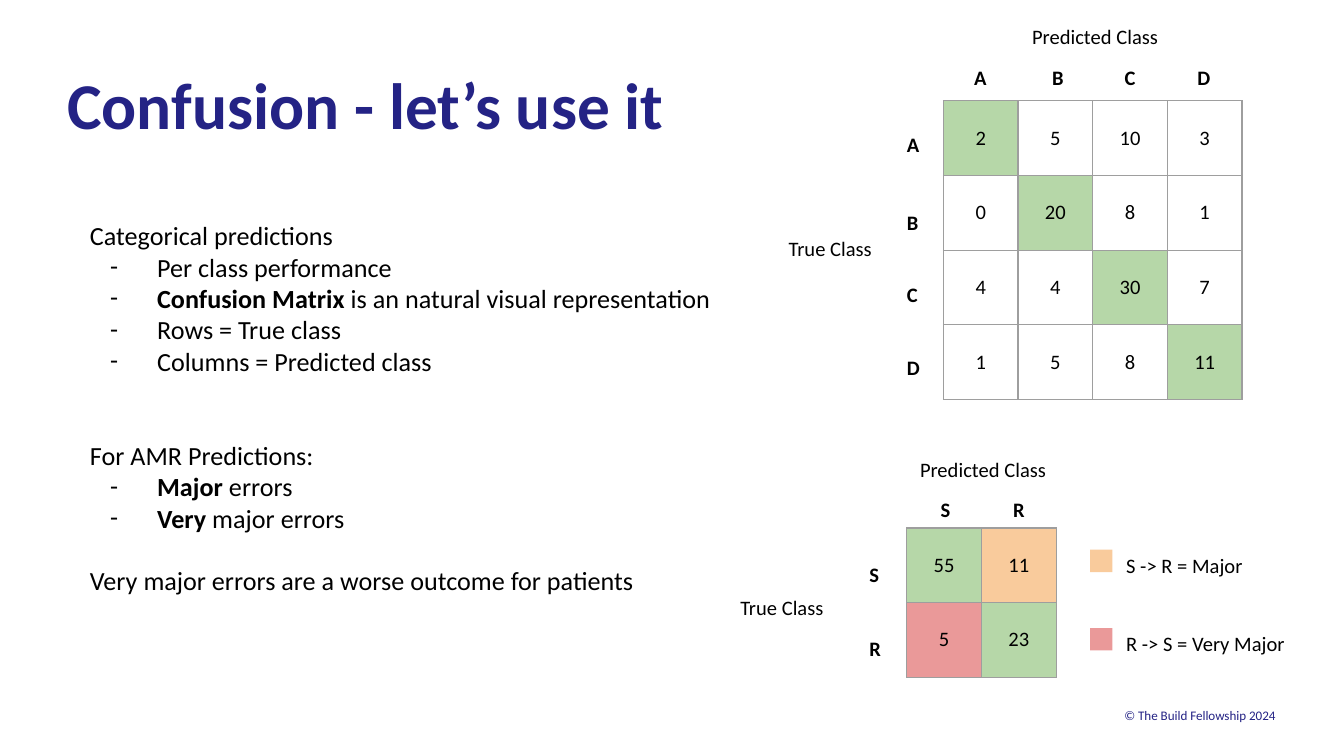
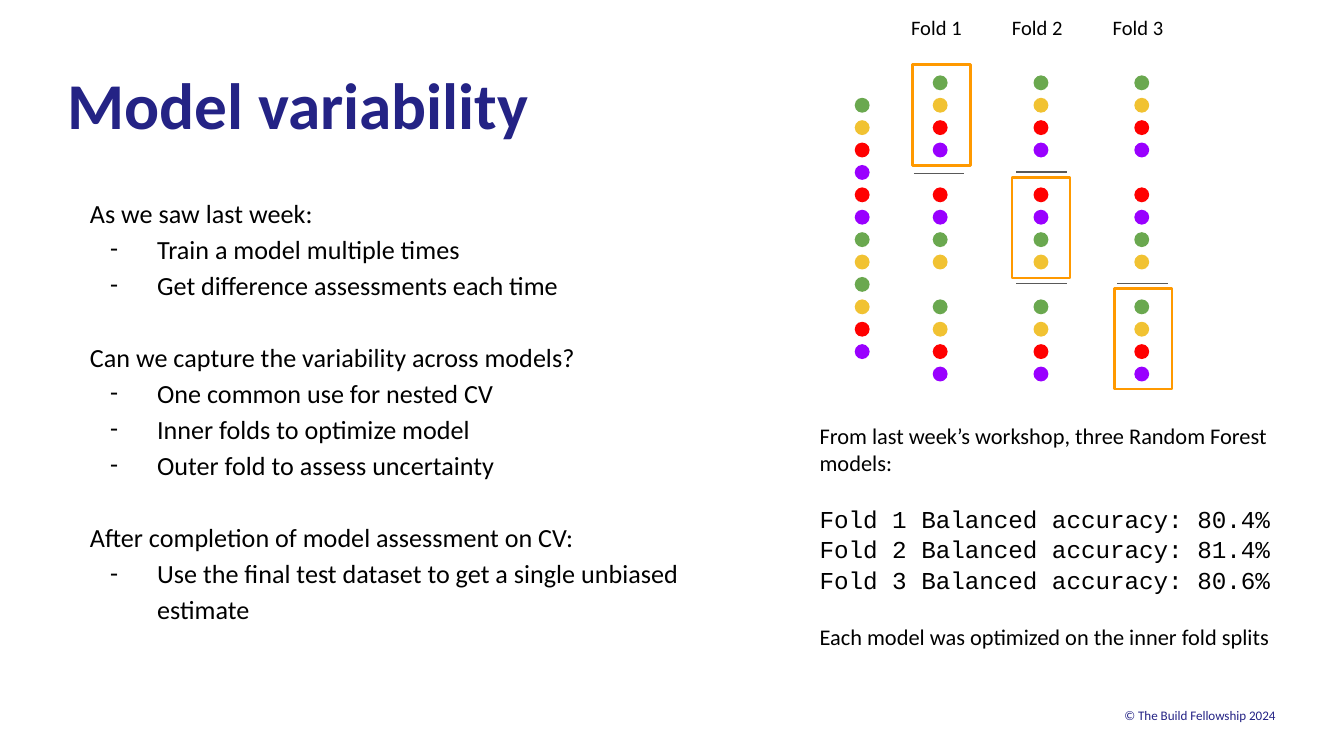
from dataclasses import dataclass

from lxml.etree import SubElement
from pptx import Presentation
from pptx.dml.color import RGBColor
from pptx.enum.shapes import MSO_CONNECTOR, MSO_SHAPE
from pptx.enum.text import MSO_ANCHOR, MSO_AUTO_SIZE, PP_ALIGN
from pptx.oxml.ns import qn
from pptx.util import Pt

NAVY = RGBColor(0x24, 0x23, 0x85)
BLACK = RGBColor(0, 0, 0)
BORDER = RGBColor(0x9E, 0x9E, 0x9E)
CORRECT = RGBColor(0xB6, 0xD7, 0xA8)
MAJOR = RGBColor(0xF9, 0xCB, 0x9C)
VERY_MAJOR = RGBColor(0xEA, 0x99, 0x99)
GREEN = RGBColor(0x6A, 0xA8, 0x4F)
YELLOW = RGBColor(0xF1, 0xC2, 0x32)
RED = RGBColor(0xFF, 0, 0)
PURPLE = RGBColor(0x99, 0, 0xFF)
ORANGE = RGBColor(0xFF, 0x99, 0)
GRAY = RGBColor(0x59, 0x59, 0x59)

FONT = "Calibri"
CODE_FONT = "Courier New"
INSET = 7.2
CELL = 40
DOT = 8
DOT_STEP = 12
FOLD_STEP = 54
SAMPLES = [GREEN, YELLOW, RED, PURPLE,
           RED, PURPLE, GREEN, YELLOW,
           GREEN, YELLOW, RED, PURPLE]


@dataclass
class Line:
    text: str
    strong: str = ""
    bullet: bool = False
    gap: float = 0


def write(para, text, size=11, color=BLACK, bold=False, font=FONT, align=PP_ALIGN.LEFT):
    para.alignment = align
    span = para.add_run()
    span.text = text
    span.font.name = font
    span.font.size = Pt(size)
    span.font.bold = bold
    span.font.color.rgb = color


def prepare_frame(frame, inset=INSET, anchor=MSO_ANCHOR.TOP):
    frame.word_wrap = True
    frame.auto_size = MSO_AUTO_SIZE.NONE
    frame.vertical_anchor = anchor
    frame.margin_left = frame.margin_right = Pt(inset)
    frame.margin_top = frame.margin_bottom = Pt(inset)
    return frame


def place(shape, left, top, width, height):
    shape.left, shape.top = Pt(left), Pt(top)
    shape.width, shape.height = Pt(width), Pt(height)


def next_para(frame, index):
    return frame.add_paragraph() if index else frame.paragraphs[0]


def add_box(page, left, top, width, height, **frame_format):
    box = page.shapes.add_textbox(Pt(left), Pt(top), Pt(width), Pt(height))
    return box, prepare_frame(box.text_frame, **frame_format)


def add_label(page, text, left, top, width=23, height=18, **text_format):
    frame = add_box(page, left, top, width, height)[1]
    write(frame.paragraphs[0], text, **text_format)


def add_page(deck, title):
    page = deck.slides.add_slide(deck.slide_layouts[1])
    place(page.shapes.title, 36, 34.6, 524, 83)
    frame = prepare_frame(page.shapes.title.text_frame, inset=0)
    write(frame.paragraphs[0], title, size=35, color=NAVY, bold=True)
    return page


def add_master_footer(deck, page):
    box, frame = add_box(page, 36, 377.3, 647.3, 11.5, inset=0, anchor=MSO_ANCHOR.MIDDLE)
    write(frame.paragraphs[0], "© The Build Fellowship 2024", size=7, color=NAVY,
          align=PP_ALIGN.RIGHT)
    deck.slide_master.shapes.element.append(box.element)


def set_bullet(para, bullet):
    properties = para._p.get_or_add_pPr()
    properties.set("marL", str(Pt(36 if bullet else 0)))
    properties.set("indent", str(Pt(-25.2 if bullet else 0)))
    if bullet:
        color = SubElement(properties, qn("a:buClr"))
        SubElement(color, qn("a:srgbClr")).set("val", str(BLACK))
        SubElement(properties, qn("a:buFont")).set("typeface", FONT)
        SubElement(properties, qn("a:buChar")).set("char", "-")
    else:
        SubElement(properties, qn("a:buNone"))


def fill_body(page, lines, top, width, spacing):
    body = page.placeholders[1]
    place(body, 41, top, width, 256)
    frame = prepare_frame(body.text_frame)
    for index, line in enumerate(lines):
        para = next_para(frame, index)
        set_bullet(para, line.bullet)
        para.line_spacing = spacing if index else 1.15
        para.space_before = Pt(line.gap)
        para.space_after = Pt(0)
        if line.strong:
            write(para, line.strong, size=14, bold=True)
        write(para, line.text, size=14)


def set_borders(cell):
    properties = cell._tc.get_or_add_tcPr()
    for side in ("a:lnL", "a:lnR", "a:lnT", "a:lnB"):
        border = SubElement(properties, qn(side), w=str(Pt(0.75)))
        fill = SubElement(border, qn("a:solidFill"))
        SubElement(fill, qn("a:srgbClr")).set("val", str(BORDER))


def add_matrix(page, values, fills, left, top):
    size = len(values)
    table = page.shapes.add_table(size, size, Pt(left), Pt(top),
                                  Pt(size * CELL), Pt(size * CELL)).table
    table.first_row = table.horz_banding = False
    for index in range(size):
        table.columns[index].width = table.rows[index].height = Pt(CELL)
    for row, numbers in enumerate(values):
        for column, number in enumerate(numbers):
            cell = table.cell(row, column)
            set_borders(cell)
            if (row, column) in fills:
                cell.fill.solid()
                cell.fill.fore_color.rgb = fills[row, column]
            else:
                cell.fill.background()
            cell.vertical_anchor = MSO_ANCHOR.MIDDLE
            cell.margin_left = cell.margin_right = Pt(INSET)
            cell.margin_top = cell.margin_bottom = Pt(INSET)
            write(cell.text_frame.paragraphs[0], str(number), align=PP_ALIGN.CENTER)


def add_class_labels(page, names, lefts, head_top, side_left, tops):
    for name, left, top in zip(names, lefts, tops):
        add_label(page, name, left, head_top, bold=True)
        add_label(page, name, side_left, top, bold=True)


def add_shape(page, kind, left, top, width, height, fill=None, line=None):
    shape = page.shapes.add_shape(kind, Pt(left), Pt(top), Pt(width), Pt(height))
    shape.shadow.inherit = False
    if fill is None:
        shape.fill.background()
    else:
        shape.fill.solid()
        shape.fill.fore_color.rgb = fill
    if line is None:
        shape.line.fill.background()
    else:
        shape.line.color.rgb = line
        shape.line.width = Pt(1.5)


def add_dots(page, left, top, group_gap=0):
    for index, color in enumerate(SAMPLES):
        dot_top = top + index * DOT_STEP + index // 4 * group_gap
        add_shape(page, MSO_SHAPE.OVAL, left, dot_top, DOT, DOT, fill=color)


def add_separator(page, left, top):
    line = page.shapes.add_connector(MSO_CONNECTOR.STRAIGHT, Pt(left), Pt(top),
                                     Pt(left + 27), Pt(top))
    line.line.color.rgb = GRAY
    line.line.width = Pt(0.75)
    SubElement(line._element.spPr, qn("a:effectLst"))


def build_confusion(deck):
    page = add_page(deck, "Confusion - let’s use it")
    add_master_footer(deck, page)
    fill_body(page, [
        Line("Categorical predictions"),
        Line("Per class performance", bullet=True),
        Line(" is an natural visual representation", strong="Confusion Matrix", bullet=True),
        Line("Rows = True class", bullet=True),
        Line("Columns = Predicted class", bullet=True),
        Line("For AMR Predictions:", gap=33.6),
        Line(" errors", strong="Major", bullet=True),
        Line(" major errors", strong="Very", bullet=True),
        Line("Very major errors are a worse outcome for patients", gap=16.8),
    ], top=108, width=351, spacing=1.0)

    add_matrix(page, [[2, 5, 10, 3], [0, 20, 8, 1], [4, 4, 30, 7], [1, 5, 8, 11]],
               {(index, index): CORRECT for index in range(4)}, 505.4, 54)
    add_label(page, "Predicted Class", 545.8, 5.8, 153, 39)
    add_label(page, "True Class", 415.4, 119.5, 69, 39)
    add_class_labels(page, "ABCD", [514.8, 556.6, 595.4, 634.3], 27.4,
                     478.8, [63.4, 105.1, 144, 182.9])

    add_matrix(page, [[55, 11], [5, 23]],
               {(0, 0): CORRECT, (0, 1): MAJOR, (1, 0): VERY_MAJOR, (1, 1): CORRECT},
               485.8, 282.8)
    add_label(page, "Predicted Class", 485.8, 237.6, 153, 39)
    add_label(page, "True Class", 389.5, 311.4, 69, 39)
    add_class_labels(page, "SR", [496.8, 535.7], 259.2, 458.6, [293.8, 333.4])

    legend = [("S -> R = Major", MAJOR), ("R -> S = Very Major", VERY_MAJOR)]
    for index, (text, color) in enumerate(legend):
        top = 294.5 + index * 42
        add_shape(page, MSO_SHAPE.RECTANGLE, 584, top, 12, 12, fill=color)
        add_label(page, text, 596.2, top - 5.5, 121, 24)


def build_variability(deck):
    page = add_page(deck, "Model variability")
    fill_body(page, [
        Line("As we saw last week:"),
        Line("Train a model multiple times", bullet=True),
        Line("Get difference assessments each time", bullet=True),
        Line("Can we capture the variability across models?", gap=19.4),
        Line("One common use for nested CV", bullet=True),
        Line("Inner folds to optimize model", bullet=True),
        Line("Outer fold to assess uncertainty", bullet=True),
        Line("After completion of model assessment on CV:", gap=19.4),
        Line("Use the final test dataset to get a single unbiased estimate", bullet=True),
    ], top=95.8, width=364.3, spacing=1.15)

    add_dots(page, 457.9, 52.4)
    for fold in range(3):
        offset = fold * FOLD_STEP
        add_dots(page, 499.7 + offset, 40.4, group_gap=DOT_STEP)
        add_label(page, f"Fold {fold + 1}", 481 + offset, 0.7, 100, 29)
    for left, top in [(489.6, 92.9), (544.5, 92.2), (544.5, 152), (598.5, 152)]:
        add_separator(page, left, top)
    for left, top in [(488.9, 34.6), (542.2, 95), (596.9, 154.4)]:
        add_shape(page, MSO_SHAPE.RECTANGLE, left, top, 31, 54, line=ORANGE)

    frame = add_box(page, 432, 218.9, 260.6, 113)[1]
    scores = [f"Fold {fold} Balanced accuracy: {score}%"
              for fold, score in enumerate((80.4, 81.4, 80.6), 1)]
    notes = [("From last week’s workshop, three Random Forest models:", FONT, 12, 0)]
    notes += [(text, CODE_FONT, 13, 0.8 if index else 15)
              for index, text in enumerate(scores)]
    notes.append(("Each model was optimized on the inner fold splits", FONT, 12, 15.5))
    for index, (text, font, size, gap) in enumerate(notes):
        para = next_para(frame, index)
        para.space_before = Pt(gap)
        write(para, text, font=font, size=size)


def main():
    deck = Presentation()
    deck.slide_width, deck.slide_height = Pt(720), Pt(405)
    build_confusion(deck)
    build_variability(deck)
    deck.save("out.pptx")


if __name__ == "__main__":
    main()
